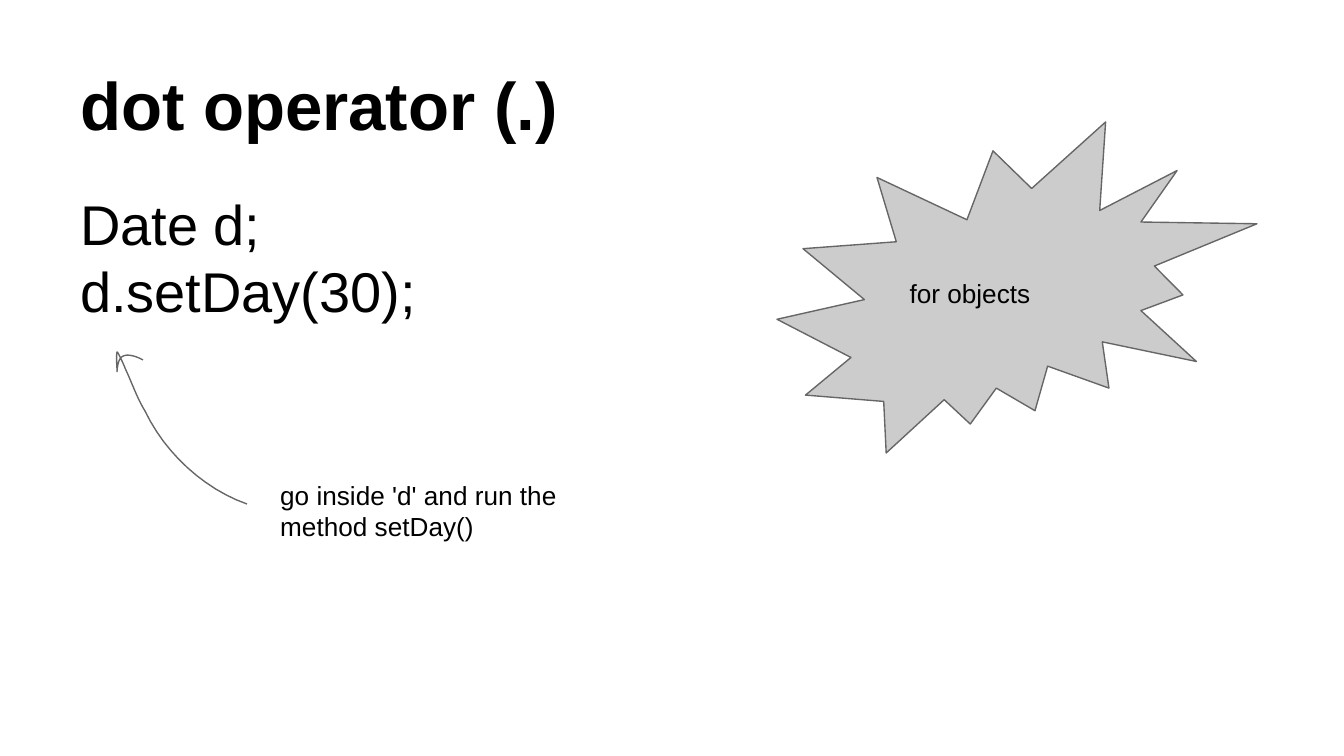
from pptx import Presentation
from pptx import util as u
from pptx.dml import color
from pptx.enum import shapes, text

SCALE = 914400 / 134.4  # EMU per pixel


def px(length):
    return u.Emu(round(length * SCALE))


def rgb(value):
    return color.RGBColor.from_string(value)


def write(shape, lines, size, bold=False, anchor=text.MSO_ANCHOR.TOP, before=0):
    frame = shape.text_frame
    frame.word_wrap = True
    frame.vertical_anchor = anchor
    frame.margin_left = frame.margin_right = u.Inches(0.1)
    frame.margin_top = frame.margin_bottom = u.Inches(0.1)
    frame.text = "\n".join(lines)
    for paragraph in frame.paragraphs:
        paragraph.alignment = text.PP_ALIGN.LEFT
        paragraph.space_before = u.Pt(before)
        paragraph.font.name = "Arial"
        paragraph.font.size = u.Pt(size)
        paragraph.font.bold = bold
        paragraph.font.color.rgb = rgb("000000")


def add_text(slide, box, lines, size, **style):
    write(slide.shapes.add_textbox(*map(px, box)), lines, size, **style)


def outline(shape):
    shape.shadow.inherit = False
    shape.line.color.rgb = rgb("666666")
    shape.line.width = u.Pt(0.75)


def curve_points(start, curves, steps=12):
    """Points along a chain of cubic curves."""
    points = []
    for first, second, end in curves:
        for step in range(1, steps + 1):
            t = step / steps
            weights = ((1 - t) ** 3, 3 * t * (1 - t) ** 2, 3 * t * t * (1 - t), t ** 3)
            corners = (start, first, second, end)
            points.append(tuple(sum(w * c[axis] for w, c in zip(weights, corners))
                                for axis in (0, 1)))
        start = end
    return points


def add_hand_arrow(slide, left, top):
    start = (131, 154)
    curves = [
        ((88, 139), (49, 103), (29, 61)),
        ((21, 48), (16, 33), (9, 18)),
        ((9, 17), (1, 0), (1, 2)),
        ((0, 8), (1, 15), (1, 21)),
        ((1, 25), (1, 13), (4, 9)),
        ((8, 2), (20, 6), (27, 10)),
    ]
    points = [(px(left + x), px(top + y)) for x, y in curve_points(start, curves)]
    builder = slide.shapes.build_freeform(px(left + start[0]), px(top + start[1]))
    builder.add_line_segments(points, close=False)
    arrow = builder.convert_to_shape()
    arrow.fill.background()
    outline(arrow)


def add_burst(slide, box, label):
    burst = slide.shapes.add_shape(shapes.MSO_SHAPE.EXPLOSION2, *map(px, box))
    burst.fill.solid()
    burst.fill.fore_color.rgb = rgb("CCCCCC")
    outline(burst)
    write(burst, [label], 14, anchor=text.MSO_ANCHOR.MIDDLE)


def add_code_slide(presentation):
    slide = presentation.slides.add_slide(presentation.slide_layouts[6])
    # Title and code
    add_text(slide, (67, 31, 1210, 126), ["dot operator (.)"], 36,
             bold=True, anchor=text.MSO_ANCHOR.BOTTOM)
    add_text(slide, (67, 176, 1210, 547), ["Date d;", "d.setDay(30);"], 30)
    # Arrow and its note
    add_hand_arrow(slide, 116, 350)
    add_text(slide, (267, 466, 316, 87),
             ["go inside 'd' and run the method setDay()"], 14)
    # Burst
    add_burst(slide, (777, 122, 480, 331), "for objects")


presentation = Presentation()
presentation.slide_width = px(1344)
presentation.slide_height = px(756)
add_code_slide(presentation)
presentation.save("out.pptx")
